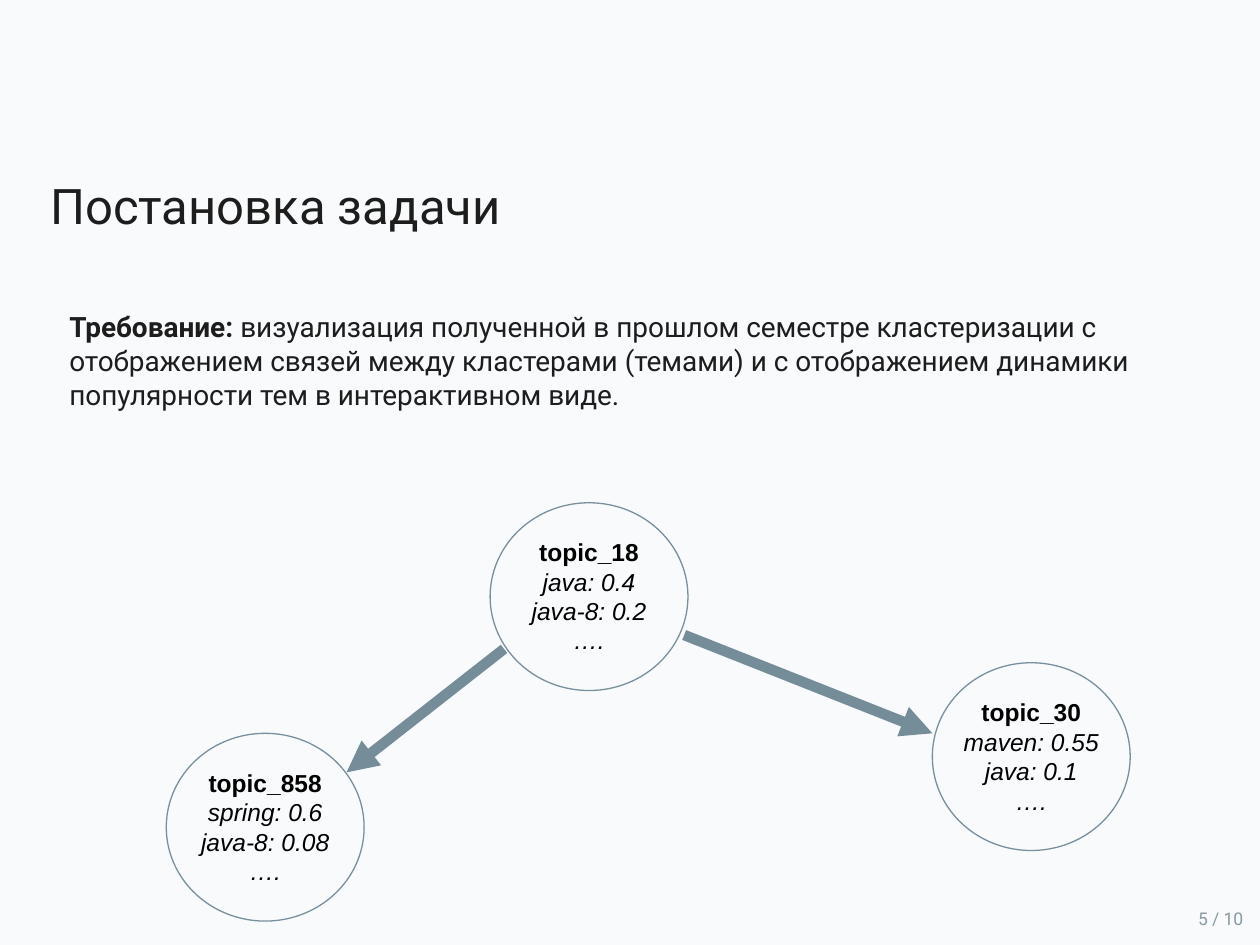
from lxml.etree import SubElement
from pptx import Presentation
from pptx.dml.color import RGBColor
from pptx.enum.shapes import MSO_CONNECTOR, MSO_SHAPE
from pptx.enum.text import MSO_ANCHOR, PP_ALIGN
from pptx.oxml.ns import qn
from pptx.util import Inches, Pt

COLORS = {
    "background": "F8FAFC",
    "text": "1D1D1D",
    "label": "000000",
    "outline": "78909C",
    "arrow": "748D99",
    "page": "8899A4",
}
FORMATS = {
    "title": {"name": "Roboto", "size": Pt(28), "bold": False},
    "body": {"name": "Roboto", "size": Pt(16), "bold": False},
    "strong": {"name": "Roboto", "size": Pt(16), "bold": True},
    "topic": {"name": "Arial", "size": Pt(14), "bold": True},
    "keyword": {"name": "Arial", "size": Pt(14), "italic": True},
    "page": {"name": "Roboto", "size": Pt(10)},
}
CIRCLE_WIDTH, CIRCLE_HEIGHT, LABEL_HEIGHT = 1.57, 1.49, 1.04

# Left, top, label width, lines of each topic
TOPICS = [
    (3.89, 3.99, 1.12, ["topic_18", "java: 0.4", "java-8: 0.2", "…."]),
    (1.32, 5.82, 1.22, ["topic_858", "spring: 0.6", "java-8: 0.08", "…."]),
    (7.4, 5.26, 1.28, ["topic_30", "maven: 0.55", "java: 0.1", "…."]),
]
ARROWS = [(4, 5.15, 2.75, 6.13), (5.43, 5.04, 7.4, 5.82)]


def color(name):
    return RGBColor.from_string(COLORS[name])


def add_run(paragraph, text, format_name, color_name):
    run = paragraph.add_run()
    run.text = text
    for attribute, value in FORMATS[format_name].items():
        setattr(run.font, attribute, value)
    run.font.color.rgb = color(color_name)


def set_frame(shape, wrap=True, anchor=MSO_ANCHOR.TOP, left_margin=0.1, margin=0.1):
    frame = shape.text_frame
    values = {
        "word_wrap": wrap,
        "vertical_anchor": anchor,
        "margin_left": Inches(left_margin),
        "margin_right": Inches(0.1),
        "margin_top": Inches(margin),
        "margin_bottom": Inches(margin),
    }
    for attribute, value in values.items():
        setattr(frame, attribute, value)
    return frame


def add_text_box(slide, box):
    return slide.shapes.add_textbox(*(Inches(length) for length in box))


def add_title(slide, box, text):
    title = slide.shapes.title
    for attribute, length in zip(("left", "top", "width", "height"), box):
        setattr(title, attribute, Inches(length))
    paragraph = set_frame(title, left_margin=0).paragraphs[0]
    paragraph.alignment = PP_ALIGN.LEFT
    add_run(paragraph, text, "title", "text")


def add_requirement(slide, box, heading, text):
    frame = set_frame(add_text_box(slide, box), left_margin=0)
    add_run(frame.paragraphs[0], heading, "strong", "text")
    add_run(frame.paragraphs[0], text, "body", "text")


def add_topic(slide, box, label_width, lines):
    left, top, width, height = box
    circle = slide.shapes.add_shape(
        MSO_SHAPE.OVAL, *(Inches(length) for length in box))
    circle.shadow.inherit = False
    circle.fill.background()
    circle.line.color.rgb = color("outline")
    circle.line.width = Pt(0.75)

    # Label centred on the circle
    label = add_text_box(slide, (
        left + (width - label_width) / 2, top + (height - LABEL_HEIGHT) / 2,
        label_width, LABEL_HEIGHT))
    frame = set_frame(label, wrap=False, margin=0.05)
    for index, line in enumerate(lines):
        paragraph = frame.add_paragraph() if index else frame.paragraphs[0]
        paragraph.alignment = PP_ALIGN.CENTER
        add_run(paragraph, line, "keyword" if index else "topic", "label")


def add_arrow(slide, ends):
    arrow = slide.shapes.add_connector(
        MSO_CONNECTOR.STRAIGHT, *(Inches(length) for length in ends))
    arrow.line.color.rgb = color("arrow")
    arrow.line.width = Pt(6)
    SubElement(arrow.line._get_or_add_ln(), qn("a:tailEnd"), type="triangle")
    SubElement(arrow._element.spPr, qn("a:effectLst"))


def add_page_number(slide, box, text):
    frame = set_frame(add_text_box(slide, box), wrap=False, anchor=MSO_ANCHOR.MIDDLE)
    add_run(frame.paragraphs[0], text, "page", "page")


def main():
    presentation = Presentation()
    presentation.slide_width = Inches(10)
    presentation.slide_height = Inches(7.5)
    slide = presentation.slides.add_slide(presentation.slide_layouts[5])
    slide.background.fill.solid()
    slide.background.fill.fore_color.rgb = color("background")

    # Heading and requirement
    add_title(slide, (0.4, 1.29, 9.32, 0.83), "Постановка задачи")
    add_requirement(
        slide, (0.55, 2.36, 9.32, 0.83), "Требование: ",
        "визуализация полученной в прошлом семестре кластеризации с "
        "отображением связей между кластерами (темами) и с отображением "
        "динамики популярности тем в интерактивном виде.")

    # Topic graph
    for left, top, label_width, lines in TOPICS:
        add_topic(slide, (left, top, CIRCLE_WIDTH, CIRCLE_HEIGHT), label_width, lines)
    for ends in ARROWS:
        add_arrow(slide, ends)

    # Page number
    add_page_number(slide, (9.41, 7.08, 0.59, 0.42), "5 / 10")
    presentation.save("out.pptx")


if __name__ == "__main__":
    main()
